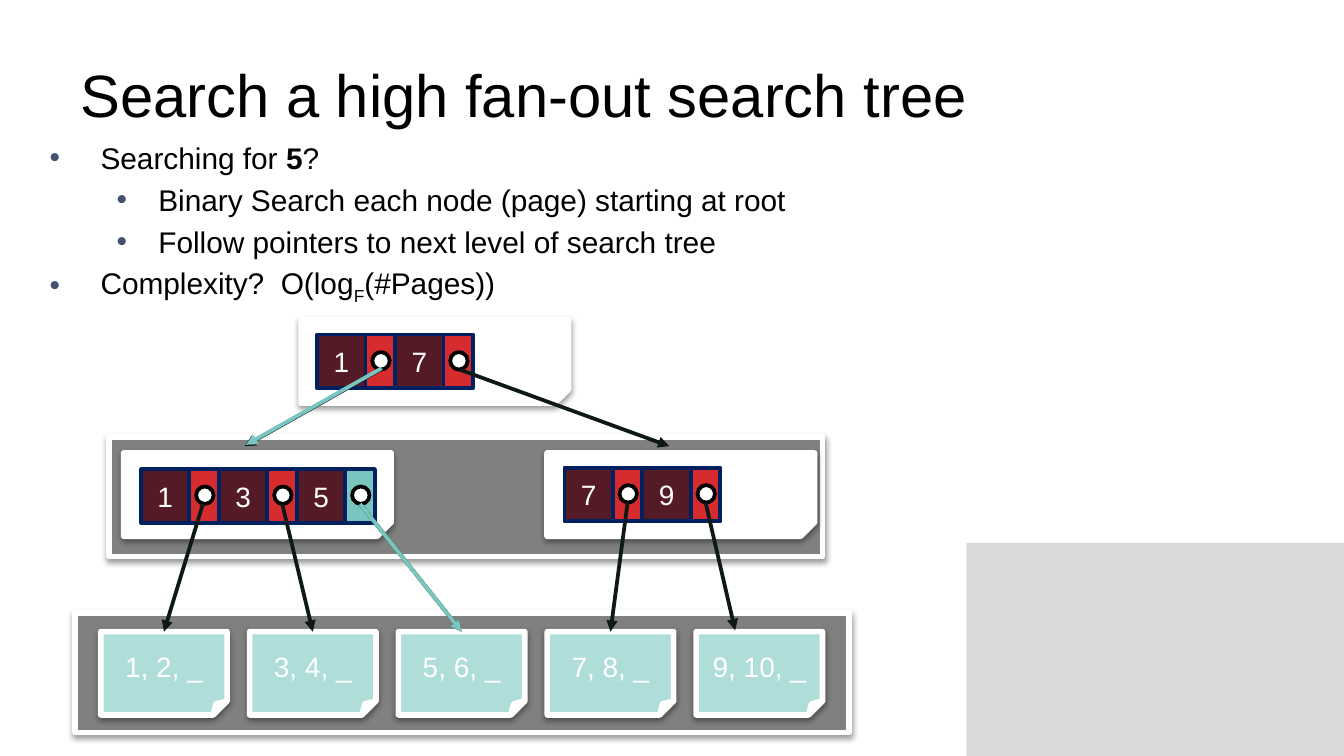
"""Build a slide that explains searching a high fan-out search tree."""
from lxml import etree
from pptx import Presentation
from pptx import util as u
from pptx.dml.color import RGBColor
from pptx.enum import shapes, text
from pptx.oxml import parse_xml
from pptx.oxml.ns import nsdecls, qn

COLORS = {
    "black": "000000", "white": "FFFFFF", "panel": "D9D9D9", "level": "808080",
    "leaf": "AFDDDA", "key": "541B27", "pointer": "D72C2F", "border": "002060",
    "arrow": "0E1817", "path": "79C6C1", "bullet": "44516F",
}
SHAPE = shapes.MSO_SHAPE


def write(paragraph, content, size=16, color="black", bold=False, baseline=0):
    run = paragraph.add_run()
    run.text = content
    run.font.name = "Arial"
    run.font.size = u.Pt(size)
    run.font.bold = bold
    run.font.color.rgb = RGBColor.from_string(COLORS[color])
    if baseline:
        run.font._element.set("baseline", str(baseline))


def draw(kind, left, top, width, height, fill, line=None, weight=2, label="", shadow=False):
    shape = slide.shapes.add_shape(
        kind, u.Inches(left), u.Inches(top), u.Inches(width), u.Inches(height))
    shape.shadow.inherit = False
    shape.fill.solid()
    shape.fill.fore_color.rgb = RGBColor.from_string(COLORS[fill])
    if line:
        shape.line.color.rgb = RGBColor.from_string(COLORS[line])
        shape.line.width = u.Pt(weight)
    else:
        shape.line.fill.background()
    if shadow:
        effects = shape._element.spPr.find(qn("a:effectLst"))
        effects.append(parse_xml(
            f'<a:outerShdw {nsdecls("a")} blurRad="{u.Pt(3.1)}" dist="{u.Pt(1.6)}" '
            f'dir="5400000" rotWithShape="0"><a:srgbClr val="{COLORS["black"]}">'
            '<a:alpha val="38000"/></a:srgbClr></a:outerShdw>'))
    if label:
        frame = shape.text_frame
        frame.vertical_anchor = text.MSO_ANCHOR.MIDDLE
        frame.margin_left = frame.margin_right = u.Inches(0.07)
        frame.margin_top = frame.margin_bottom = u.Inches(0.04)
        frame.paragraphs[0].alignment = text.PP_ALIGN.CENTER
        write(frame.paragraphs[0], label, size=15, color="white")
    return shape


presentation = Presentation()
presentation.slide_width = u.Inches(10)
presentation.slide_height = u.Inches(10 * 9 / 16)
slide = presentation.slides.add_slide(presentation.slide_layouts[6])

draw(SHAPE.RECTANGLE, 7.19, 4.04, 2.81, 1.59, "panel")

title = slide.shapes.add_textbox(u.Inches(0.5), u.Inches(0.23), u.Inches(9), u.Inches(0.94))
title.text_frame.word_wrap = True
title.text_frame.vertical_anchor = text.MSO_ANCHOR.MIDDLE
write(title.text_frame.paragraphs[0], "Search a high fan-out search tree", size=32)

body = slide.shapes.add_textbox(u.Inches(0.27), u.Inches(0.99), u.Inches(9.85), u.Inches(3.71))
body.text_frame.word_wrap = True
bullets = [
    (0, [("Searching for ", {}), ("5", {"bold": True}), ("?", {})]),
    (1, [("Binary Search each node (page) starting at root", {})]),
    (1, [("Follow pointers to next level of search tree", {})]),
    (0, [("Complexity?  O(log", {}), ("F", {"baseline": -25000}), ("(#Pages))", {})]),
]
for index, (level, runs) in enumerate(bullets):
    paragraph = body.text_frame.paragraphs[0] if index == 0 else body.text_frame.add_paragraph()
    paragraph.level = level
    paragraph.space_before = u.Pt(3.2)
    margin, indent = [(0.38, -0.38), (0.81, -0.31)][level]
    properties = paragraph._element.get_or_add_pPr()
    properties.set("marL", str(u.Inches(margin)))
    properties.set("indent", str(u.Inches(indent)))
    bullet_color = etree.SubElement(properties, qn("a:buClr"))
    etree.SubElement(bullet_color, qn("a:srgbClr")).set("val", COLORS["bullet"])
    etree.SubElement(properties, qn("a:buFont")).set("typeface", "Arial")
    etree.SubElement(properties, qn("a:buChar")).set("char", "•")
    for content, options in runs:
        write(paragraph, content, **options)

for left, top, width in [(0.81, 3.25, 5.31), (0.56, 4.56, 5.76)]:
    draw(SHAPE.RECTANGLE, left, top, width, 0.89, "level", "white", 3, shadow=True)

leaf_step = (5.18 - 0.75) / 4
leaves = [
    draw(SHAPE.FOLDED_CORNER, 0.75 + leaf_step * index, 4.7, 0.94, 0.62,
         "leaf", "white", 3, label, shadow=True)
    for index, label in enumerate(["1, 2, _", "3, 4, _", "5, 6, _", "7, 8, _", "9, 10, _"])
]

key_width, pointer_width, cell_height, dot_size = 0.36, 0.22, 0.4, 0.13
nodes = [
    (4.07, 3.37, 4.2, 3.48, "79"),
    (0.92, 3.37, 1.05, 3.49, "135"),
    (2.24, 2.38, 2.36, 2.49, "17"),
]
for page_left, page_top, cell_left, cell_top, keys in nodes:
    draw(SHAPE.FOLDED_CORNER, page_left, page_top, 1.99, 0.62, "white", "white", 3, shadow=True)
    for index, key in enumerate(keys):
        key_left = cell_left + index * (key_width + pointer_width)
        pointer_left = key_left + key_width
        pointer_fill = "path" if key == "5" else "pointer"
        draw(SHAPE.RECTANGLE, key_left, cell_top, key_width, cell_height,
             "key", "border", label=key)
        draw(SHAPE.RECTANGLE, pointer_left, cell_top, pointer_width, cell_height,
             pointer_fill, "border")
        draw(SHAPE.OVAL, pointer_left + 0.05, cell_top + 0.13, dot_size, dot_size,
             "white", "black")

arrows = [
    (1.51, 3.75, 1.22, 4.7, "arrow", leaves[0]),
    (2.1, 3.75, 2.33, 4.7, "arrow", leaves[1]),
    (2.68, 3.75, 3.44, 4.7, "arrow", leaves[2]),
    (4.67, 3.74, 4.55, 4.7, "arrow", leaves[3]),
    (5.25, 3.74, 5.47, 4.69, "arrow", None),
    (2.83, 2.75, 1.82, 3.32, "arrow", None),
    (3.42, 2.75, 4.98, 3.32, "arrow", None),
    (2.84, 2.74, 1.83, 3.31, "path", None),
    (2.68, 3.75, 3.44, 4.7, "path", leaves[2]),
]
for start_x, start_y, end_x, end_y, color, leaf in arrows:
    arrow = slide.shapes.add_connector(
        shapes.MSO_CONNECTOR.STRAIGHT,
        u.Inches(start_x), u.Inches(start_y), u.Inches(end_x), u.Inches(end_y))
    if leaf:
        arrow.end_connect(leaf, 0)
    arrow.line.color.rgb = RGBColor.from_string(COLORS[color])
    arrow.line.width = u.Pt(2)
    etree.SubElement(arrow.line._get_or_add_ln(), qn("a:tailEnd")).set("type", "triangle")
    etree.SubElement(arrow._element.spPr, qn("a:effectLst"))

presentation.save("out.pptx")
